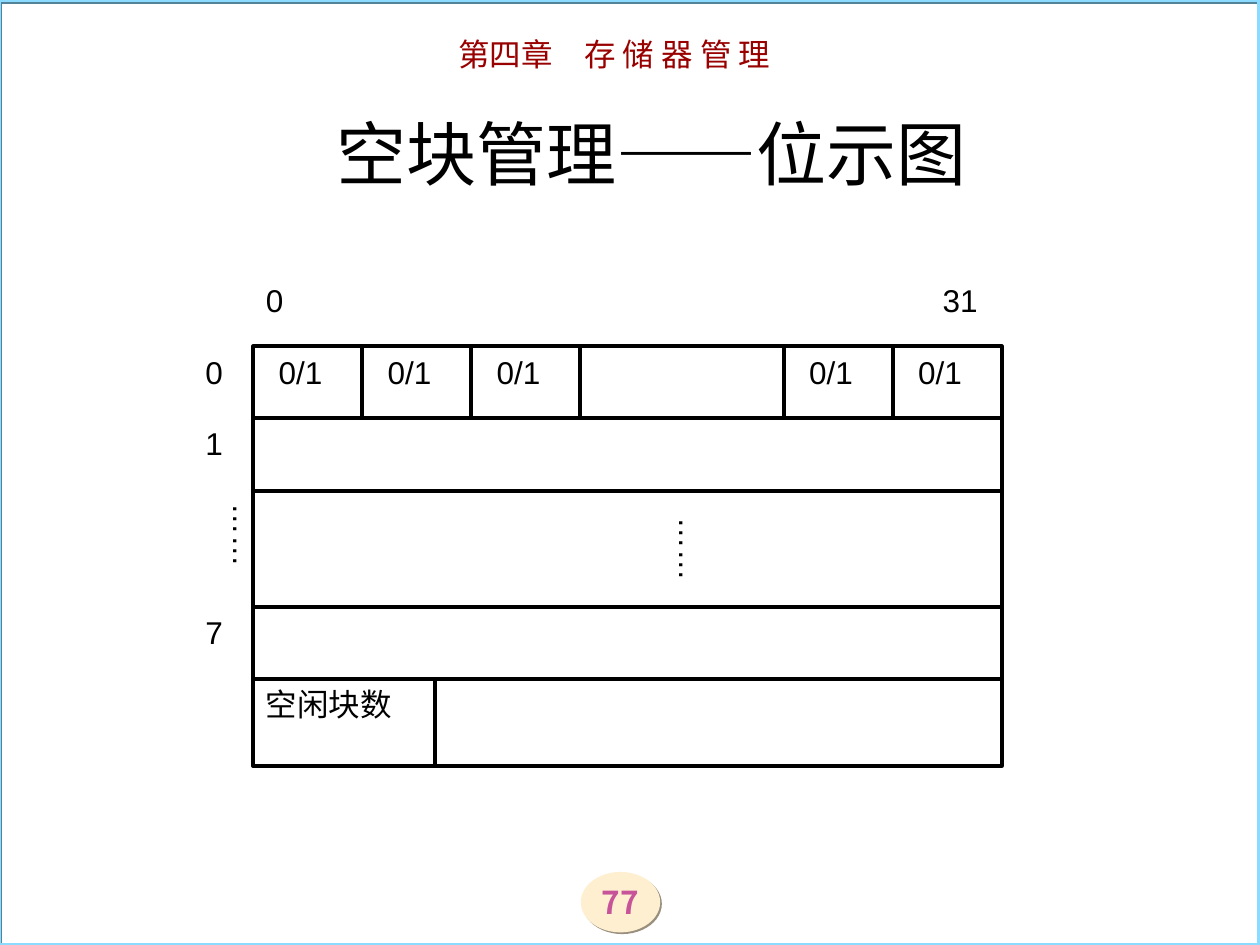
from lxml import etree
from pptx import Presentation
from pptx.dml.color import RGBColor
from pptx.enum.shapes import MSO_CONNECTOR, MSO_SHAPE
from pptx.enum.text import MSO_ANCHOR, MSO_AUTO_SIZE, PP_ALIGN
from pptx.oxml.ns import qn
from pptx.util import Inches, Pt

BLACK = RGBColor(0x00, 0x00, 0x00)
WHITE = RGBColor(0xFF, 0xFF, 0xFF)
DARK_RED = RGBColor(0x99, 0x00, 0x00)
SKY = RGBColor(0x8A, 0xDB, 0xFF)
SKY_SHADE = RGBColor(0x53, 0x83, 0x99)
CREAM = RGBColor(0xFF, 0xEF, 0xD1)
CREAM_SHADE = RGBColor(0x99, 0x8F, 0x7D)
PINK = RGBColor(0xC7, 0x53, 0x99)

OVAL, RECT = MSO_SHAPE.OVAL, MSO_SHAPE.RECTANGLE
STRAIGHT = MSO_CONNECTOR.STRAIGHT
TOP, MIDDLE = MSO_ANCHOR.TOP, MSO_ANCHOR.MIDDLE
CENTER = PP_ALIGN.CENTER
NO_FIT, GROW = MSO_AUTO_SIZE.NONE, MSO_AUTO_SIZE.SHAPE_TO_FIT_TEXT
CJK_FONT = "Noto Sans CJK SC"

LEFT, RIGHT, BOTTOM = 2.01, 7.95, 6.08
ROWS = [2.75, 3.32, 3.9, 4.82, 5.39]
CELL = 0.865
BIT_CELLS = [LEFT + i * CELL for i in range(3)] + [RIGHT - i * CELL for i in (2, 1)]
BIT_EDGES = BIT_CELLS[1:3] + [LEFT + 3 * CELL] + BIT_CELLS[3:]
COUNT_EDGE = 3.45


def add_run(p, text, size, color, font, east_asian=CJK_FONT):
    r = p.add_run()
    r.text = text
    r.font.size = Pt(size)
    r.font.name = font
    r.font.color.rgb = color
    ea = etree.SubElement(r.font._element, qn("a:ea"))
    ea.set("typeface", east_asian)
    return r


def add_shadow(sp, color):
    effects = etree.SubElement(sp._element.spPr, qn("a:effectLst"))
    shadow = etree.SubElement(effects, qn("a:outerShdw"), dist=str(Pt(1.4)),
                              dir="2700000", algn="ctr", rotWithShape="0")
    etree.SubElement(shadow, qn("a:srgbClr"), val=str(color))


def add_rect(s, left, top, width, height, line):
    sp = s.shapes.add_shape(RECT, Inches(left), Inches(top), Inches(width), Inches(height))
    sp.line.color.rgb = line
    sp.line.width = Pt(2.25)
    return sp


def add_line(s, x1, y1, x2, y2):
    line = s.shapes.add_connector(STRAIGHT, Inches(x1), Inches(y1), Inches(x2), Inches(y2))
    line.line.color.rgb = BLACK
    line.line.width = Pt(2.25)
    etree.SubElement(line._element.spPr, qn("a:effectLst"))


def add_label(s, text, left, top, width, height=0.4, color=BLACK, font="Arial", wrap=False):
    box = s.shapes.add_textbox(Inches(left), Inches(top), Inches(width), Inches(height))
    tf = box.text_frame
    tf.word_wrap = wrap
    tf.auto_size = GROW
    p = tf.paragraphs[0]
    p.alignment = CENTER
    add_run(p, text, 18, color, font, CJK_FONT if font == "Arial" else font)
    return tf


def add_vertical_dots(s, left, top):
    tf = add_label(s, "……", left, top, 0.5, 0.6)
    tf.margin_left = tf.margin_right = Inches(0.05)
    tf.margin_top = tf.margin_bottom = Inches(0.1)
    tf._txBody.bodyPr.set("vert", "eaVert")


def add_page_number(s, number):
    sp = s.shapes.add_shape(OVAL, Inches(4.61), Inches(6.92), Inches(0.63), Inches(0.48))
    sp.fill.solid()
    sp.fill.fore_color.rgb = CREAM
    sp.line.fill.background()
    add_shadow(sp, CREAM_SHADE)
    tf = sp.text_frame
    tf.margin_left = tf.margin_right = tf.margin_top = tf.margin_bottom = 0
    tf.vertical_anchor = MIDDLE
    p = tf.paragraphs[0]
    p.alignment = CENTER
    add_run(p, number, 18, PINK, CJK_FONT).font.bold = True


def add_page_frame(s):
    frame = add_rect(s, -0.01, 0, 10, 7.5, SKY)
    frame.fill.background()
    add_shadow(frame, SKY_SHADE)


def set_title(s, text):
    title = s.shapes.title
    title.left, title.top = Inches(2.17), Inches(0.83)
    title.width, title.height = Inches(6), Inches(0.77)
    tf = title.text_frame
    tf.word_wrap = True
    tf.auto_size = NO_FIT
    tf.vertical_anchor = TOP
    p = tf.paragraphs[0]
    p.alignment = CENTER
    add_run(p, text, 40, BLACK, "Times New Roman")


def add_bitmap(s):
    grid = add_rect(s, LEFT, ROWS[0], RIGHT - LEFT, BOTTOM - ROWS[0], BLACK)
    grid.fill.solid()
    grid.fill.fore_color.rgb = WHITE
    grid.shadow.inherit = False
    for y in ROWS[1:]:
        add_line(s, LEFT, y, RIGHT, y)
    for x in BIT_EDGES:
        add_line(s, x, ROWS[0], x, ROWS[1])
    add_line(s, COUNT_EDGE, ROWS[4], COUNT_EDGE, BOTTOM)

    for x in BIT_CELLS:
        add_label(s, "0/1", x + 0.1, ROWS[0], 0.55)
    for text, row in (("0", 0), ("1", 1), ("7", 3)):
        add_label(s, text, 1.53, ROWS[row], 0.34)
    add_label(s, "0", LEFT, 2.18, 0.34)
    add_label(s, "31", 7.38, 2.18, 0.48)
    add_label(s, "空闲块数", LEFT, ROWS[4], 1.2)
    add_vertical_dots(s, 1.65, 3.9)
    add_vertical_dots(s, 5.19, 4.01)


def main():
    prs = Presentation()
    prs.slide_width, prs.slide_height = Inches(10), Inches(7.5)
    s = prs.slides.add_slide(prs.slide_layouts[5])
    add_page_number(s, "77")
    add_page_frame(s)
    add_label(s, "第四章　存 储 器 管 理", 2.08, 0.23, 5.59,
              color=DARK_RED, font="Noto Sans CJK JP", wrap=True)
    set_title(s, "空块管理——位示图")
    add_bitmap(s)
    prs.save("out.pptx")


if __name__ == "__main__":
    main()
